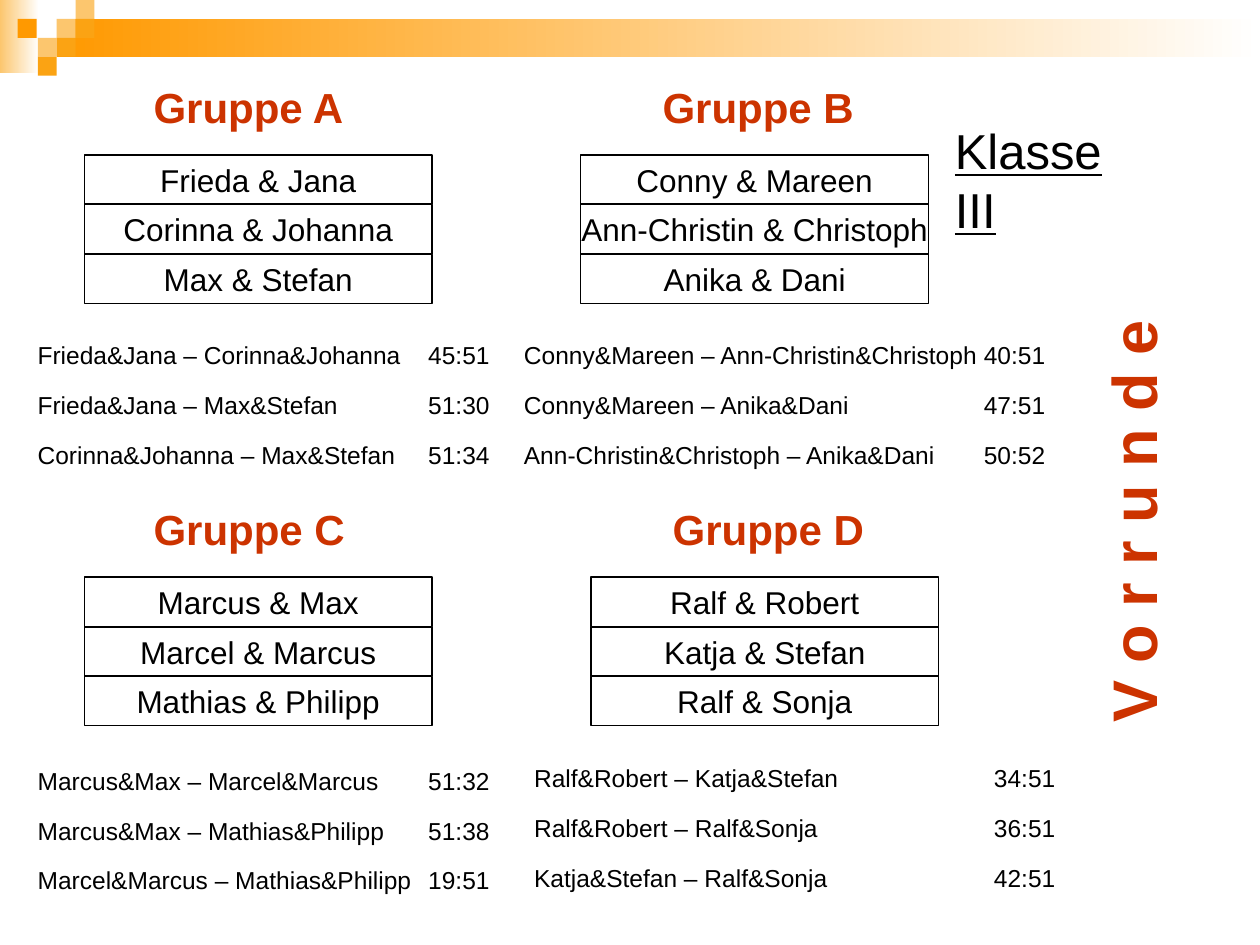
import pptx
import pptx.dml.color
import pptx.enum.shapes
import pptx.enum.text
import pptx.util

Inches = pptx.util.Inches
Align = pptx.enum.text.PP_ALIGN

COLORS = {
    "white": "FFFFFF",
    "black": "000000",
    "red": "CC3300",
    "orange": "FF9900",
    "amber": "FBA313",
    "pale": "FCC66E",
}
ROW_STEP = 0.79 / 2
SQUARE = 0.15

SQUARES = [
    (0.45, 0.15, "pale"),
    (0.6, 0, "pale"),
    (0.6, 0.15, "amber"),
    (0.3, 0.3, "pale"),
    (0.14, 0.15, "orange"),
    (0.45, 0.3, "amber"),
    (0.3, 0.45, "amber"),
]

LEFT_COLUMN = {"heading": 1.12, "team": 0.67, "match": 0.2, "score": 3.3, "size": (1.91, 0.67)}
RIGHT_COLUMN = {"heading": 5.16, "team": 4.61, "match": 4.06, "score": 7.71, "size": (1.89, 0.63)}

GROUPS = [
    ("Gruppe A", LEFT_COLUMN, 0, 0.6, 2.65,
     ["Frieda & Jana", "Corinna & Johanna", "Max & Stefan"],
     [("Frieda&Jana – Corinna&Johanna", "45:51", 3.15),
      ("Frieda&Jana – Max&Stefan", "51:30", 3.15),
      ("Corinna&Johanna – Max&Stefan", "51:34", 3.15)]),
    ("Gruppe B", RIGHT_COLUMN, 0, 0.6, 2.65,
     ["Conny & Mareen", "Ann-Christin & Christoph", "Anika & Dani"],
     [("Conny&Mareen – Ann-Christin&Christoph", "40:51", 4.02),
      ("Conny&Mareen – Anika&Dani", "47:51", 3.15),
      ("Ann-Christin&Christoph – Anika&Dani", "50:52", 3.54)]),
    ("Gruppe C", LEFT_COLUMN, 0, 3.95, 6.03,
     ["Marcus & Max", "Marcel & Marcus", "Mathias & Philipp"],
     [("Marcus&Max – Marcel&Marcus", "51:32", 3.15),
      ("Marcus&Max – Mathias&Philipp", "51:38", 3.15),
      ("Marcel&Marcus – Mathias&Philipp", "19:51", 3.39)]),
    ("Gruppe D", RIGHT_COLUMN, 0.08, 3.95, 6.01,
     ["Ralf & Robert", "Katja & Stefan", "Ralf & Sonja"],
     [("Ralf&Robert – Katja&Stefan", "34:51", 3.15),
      ("Ralf&Robert – Ralf&Sonja", "36:51", 3.15),
      ("Katja&Stefan – Ralf&Sonja", "42:51", 3.15)]),
]


class TournamentSlide:
    font = "Arial"

    def __init__(self, slide):
        self.slide = slide

    def color(self, name):
        return pptx.dml.color.RGBColor.from_string(COLORS[name])

    def rectangle(self, left, top, width, height):
        shape = self.slide.shapes.add_shape(
            pptx.enum.shapes.MSO_SHAPE.RECTANGLE,
            Inches(left), Inches(top), Inches(width), Inches(height))
        shape.shadow.inherit = False
        return shape

    def block(self, left, top, width, height, color):
        shape = self.rectangle(left, top, width, height)
        shape.fill.solid()
        shape.fill.fore_color.rgb = self.color(color)
        shape.line.fill.background()

    def fade(self, left, top, width, height, color):
        shape = self.rectangle(left, top, width, height)
        shape.fill.gradient()
        shape.fill.gradient_angle = 0
        for stop, name in zip(shape.fill.gradient_stops, (color, "white")):
            stop.color.rgb = self.color(name)
        shape.line.fill.background()

    def add_text(self, shape, text, size, color="black", bold=False, underline=False, align=Align.LEFT):
        paragraph = shape.text_frame.paragraphs[0]
        paragraph.alignment = align
        run = paragraph.add_run()
        run.text = text
        run.font.name = self.font
        run.font.size = pptx.util.Pt(size)
        run.font.bold = bold
        run.font.underline = underline
        run.font.color.rgb = self.color(color)
        return paragraph

    def team(self, left, top, text):
        shape = self.rectangle(left, top, 2.76, 0.39)
        shape.fill.background()
        shape.line.color.rgb = self.color("black")
        shape.line.width = pptx.util.Pt(0.75)
        shape.text_frame.word_wrap = False
        shape.text_frame.vertical_anchor = pptx.enum.text.MSO_ANCHOR.MIDDLE
        self.add_text(shape, text, 18, align=Align.CENTER)

    def text_box(self, left, top, width, height, wrap=True, grow=True):
        shape = self.slide.shapes.add_textbox(
            Inches(left), Inches(top), Inches(width), Inches(height))
        shape.text_frame.word_wrap = wrap
        if grow:
            shape.text_frame.auto_size = pptx.enum.text.MSO_AUTO_SIZE.SHAPE_TO_FIT_TEXT
        return shape

    def heading(self, left, top, size, text):
        shape = self.text_box(left, top, *size, grow=False)
        paragraph = self.add_text(shape, text, 24, "red", bold=True)
        paragraph.space_before = pptx.util.Pt(6)

    def label(self, left, top, width, text):
        self.add_text(self.text_box(left, top, width, 0.34), text, 14)

    def class_title(self, text):
        shape = self.text_box(7.48, 0.91, 1.79, 0.57, wrap=False)
        self.add_text(shape, text, 28, underline=True)

    def side_title(self, text):
        shape = self.text_box(6.78, 3.79, 4.41, 0.7)
        shape.rotation = 270
        self.add_text(shape, text, 36, "red", bold=True, align=Align.CENTER)

    def group(self, name, column, shift, top, match_top, teams, matches):
        self.heading(column["heading"] + shift, top, column["size"], name)
        for row, team in enumerate(teams):
            self.team(column["team"] + shift, top + 0.63 + row * ROW_STEP, team)
        for row, (match, score, width) in enumerate(matches):
            row_top = match_top + row * ROW_STEP
            self.label(column["match"] + shift, row_top, width, match)
            self.label(column["score"] + shift, row_top, 0.75, score)


def main():
    presentation = pptx.Presentation()
    presentation.slide_width = Inches(10)
    presentation.slide_height = Inches(7.5)
    page = TournamentSlide(presentation.slides.add_slide(presentation.slide_layouts[6]))

    page.fade(0, 0, 0.31, 0.58, "pale")
    page.fade(0.45, 0.15, 9.55, 0.3, "orange")
    for left, top, color in SQUARES:
        page.block(left, top, SQUARE, SQUARE, color)
    for group in GROUPS:
        page.group(*group)
    page.class_title("Klasse III")
    page.side_title("V o r r u n d e")

    presentation.save("out.pptx")


if __name__ == "__main__":
    main()
